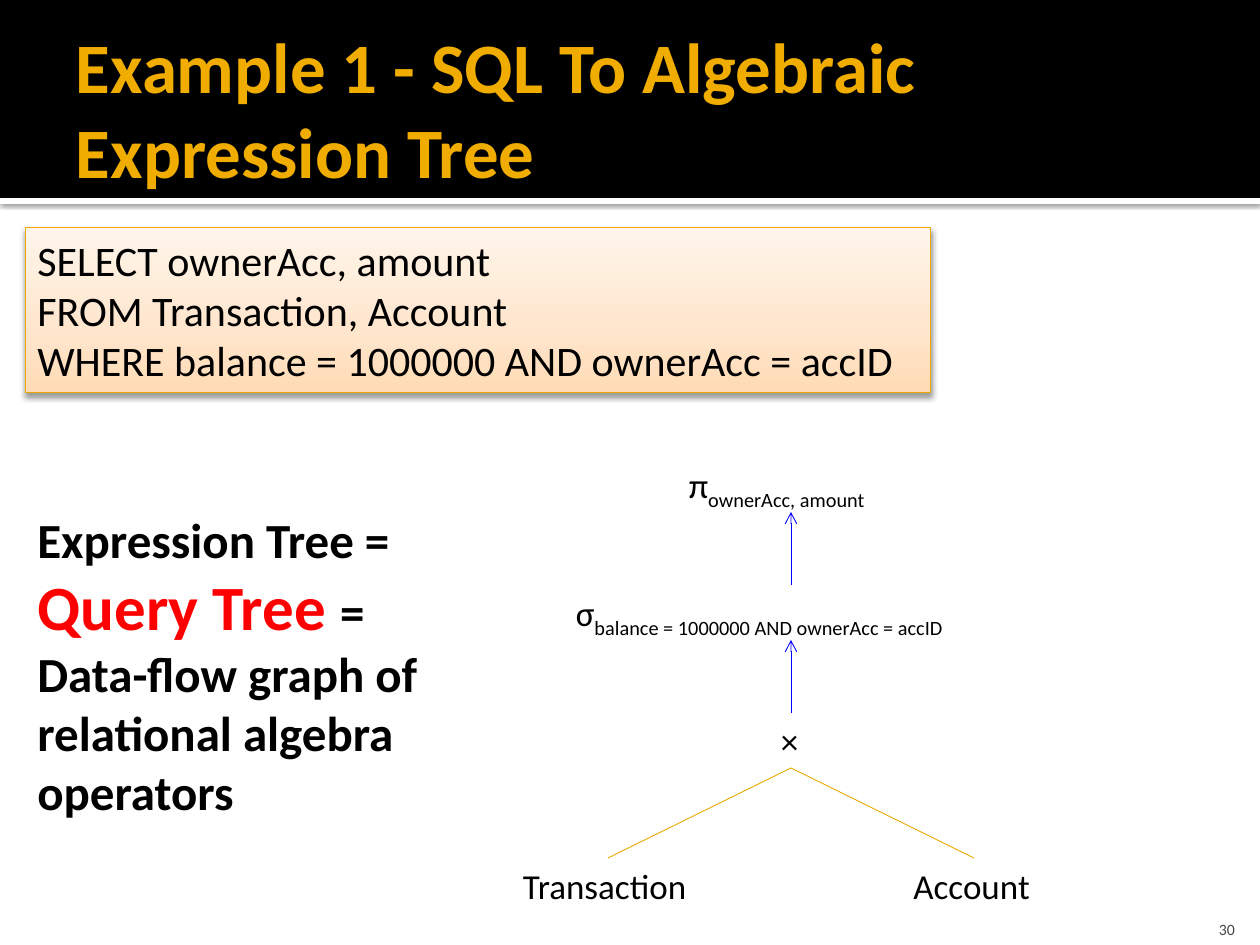
from dataclasses import dataclass

from lxml.etree import SubElement
from pptx import Presentation
from pptx.dml.color import RGBColor
from pptx.enum.shapes import MSO_CONNECTOR, MSO_SHAPE
from pptx.enum.text import MSO_ANCHOR, MSO_AUTO_SIZE, PP_ALIGN
from pptx.oxml.ns import qn
from pptx.util import Emu, Pt


@dataclass(frozen=True)
class Theme:
    font: str = "Calibri"
    black: str = "000000"
    white: str = "FFFFFF"
    title: str = "F0AD00"
    edge: str = "EBA900"
    arrow: str = "0000FF"
    accent: str = "FF0000"
    muted: str = "454545"
    query_fill: tuple = ((0, "FFDBB5"), (35, "FFE5CB"), (100, "FFF5EB"))
    title_size: float = 40.5
    query_size: int = 24
    node_size: int = 20
    note_size: int = 28
    accent_size: int = 36
    number_size: int = 9
    line_width: float = 0.5


T = Theme()
SCALE = 914400 / 126
NODE_H = 55
AXIS = 791
LEVELS = (457, 585, 713)
LEAF_TOP = 858


def px(n):
    return Emu(round(n * SCALE))


def rgb(color):
    return RGBColor.from_string(color)


def add_run(p, text, size, color=T.black, bold=False, baseline=0):
    r = p.add_run()
    r.text = text
    r.font.name = T.font
    r.font.size = Pt(size)
    r.font.bold = bold
    r.font.color.rgb = rgb(color)
    if baseline:
        r.font._element.set("baseline", str(baseline * 1000))


def write(sp, paragraphs, anchor=MSO_ANCHOR.TOP, align=PP_ALIGN.LEFT,
          wrap=True, grow=False, insets=None):
    tf = sp.text_frame
    tf.word_wrap = wrap
    tf.vertical_anchor = anchor
    tf.auto_size = MSO_AUTO_SIZE.SHAPE_TO_FIT_TEXT if grow else MSO_AUTO_SIZE.NONE
    if insets:
        tf.margin_left, tf.margin_top, tf.margin_right, tf.margin_bottom = map(px, insets)
    for i, runs in enumerate(paragraphs):
        p = tf.add_paragraph() if i else tf.paragraphs[0]
        p.alignment = align
        for text, fmt in runs:
            add_run(p, text, **fmt)


def add_text(s, box, paragraphs, **fmt):
    write(s.shapes.add_textbox(*map(px, box)), paragraphs, **fmt)


def add_rect(s, box, fill=None):
    sp = s.shapes.add_shape(MSO_SHAPE.RECTANGLE, *map(px, box))
    sp.shadow.inherit = False
    sp.line.fill.background()
    if fill:
        sp.fill.solid()
        sp.fill.fore_color.rgb = rgb(fill)
    return sp


def add_color(parent, color, alpha=None):
    clr = SubElement(parent, qn("a:srgbClr"), val=color)
    if alpha:
        SubElement(clr, qn("a:alpha"), val=str(alpha * 1000))


def add_shadow(sp, alpha, blur, dist):
    effects = sp._element.spPr.find(qn("a:effectLst"))
    shadow = SubElement(effects, qn("a:outerShdw"), blurRad=str(Pt(blur)),
                        dist=str(Pt(dist)), dir="5400000", rotWithShape="0")
    add_color(shadow, T.black, alpha)


def fill_gradient(sp, stops, angle):
    sp.fill.gradient()
    sp.fill.gradient_angle = angle
    gs_lst = sp._element.spPr.find(".//" + qn("a:gsLst"))
    for gs in list(gs_lst):
        gs_lst.remove(gs)
    for pos, color in stops:
        add_color(SubElement(gs_lst, qn("a:gs"), pos=str(pos * 1000)), color)


def add_line(s, start, end, color, arrow=False):
    cx = s.shapes.add_connector(MSO_CONNECTOR.STRAIGHT, *map(px, start + end))
    cx.line.color.rgb = rgb(color)
    cx.line.width = Pt(T.line_width)
    if arrow:
        SubElement(cx.line._ln, qn("a:headEnd"), type="arrow")
    SubElement(cx._element.spPr, qn("a:effectLst"))


def add_node(s, center, top, width, text, sub="", wrap=False):
    runs = [(text, dict(size=T.node_size))]
    if sub:
        runs.append((sub, dict(size=T.node_size, baseline=-25)))
    sp = add_rect(s, (center - width / 2, top, width, NODE_H), T.white)
    write(sp, [runs], wrap=wrap, grow=True)


def add_header(s):
    strip = add_rect(s, (0, 198, 1260, 6), T.white)
    add_shadow(strip, alpha=60, blur=2.5, dist=0.8)
    add_rect(s, (0, 0, 1260, 198), T.black)
    title = ("Example 1 - SQL To Algebraic Expression Tree",
             dict(size=T.title_size, color=T.title, bold=True))
    add_text(s, (63, 21, 1134, 173), [[title]], anchor=MSO_ANCHOR.MIDDLE,
             insets=(13, 6, 6, 6))


def add_tree(s):
    project, select, product = LEVELS
    add_node(s, AXIS, project, 229, "π", "ownerAcc, amount")
    add_node(s, AXIS, select, 455, "σ", "balance = 1000000 AND ownerAcc = accID")
    add_node(s, AXIS, product, 45, "×", wrap=True)
    for upper, lower in zip(LEVELS, LEVELS[1:]):
        add_line(s, (AXIS, upper + NODE_H), (AXIS, lower), T.arrow, arrow=True)
    for center, width, table in ((608, 195, "Transaction"), (974, 146, "Account")):
        add_node(s, center, LEAF_TOP, width, table)
        add_line(s, (AXIS, product + NODE_H), (center, LEAF_TOP), T.edge)


def add_query(s):
    lines = ("SELECT ownerAcc, amount",
             "FROM Transaction, Account",
             "WHERE balance = 1000000 AND ownerAcc = accID")
    sp = add_rect(s, (25, 228, 906, 165))
    fill_gradient(sp, T.query_fill, 90)
    sp.line.color.rgb = rgb(T.edge)
    sp.line.width = Pt(T.line_width)
    add_shadow(sp, alpha=38, blur=3.5, dist=2)
    write(sp, [[(line, dict(size=T.query_size))] for line in lines], grow=True)


def add_definition(s):
    plain = dict(size=T.note_size, bold=True)
    accent = dict(size=T.accent_size, color=T.accent, bold=True)
    runs = [("Expression Tree = ", plain), ("Query Tree ", accent),
            ("= Data-flow graph of relational algebra operators", plain)]
    add_text(s, (25, 503, 426, 326), [runs], grow=True)


def add_number(s):
    number = ("30", dict(size=T.number_size, color=T.muted))
    add_text(s, (1147, 901, 101, 38), [[number]], anchor=MSO_ANCHOR.BOTTOM,
             align=PP_ALIGN.RIGHT, insets=(13, 6, 13, 0))


def main():
    prs = Presentation()
    prs.slide_width, prs.slide_height = px(1260), px(945)
    s = prs.slides.add_slide(prs.slide_layouts[6])
    add_header(s)
    add_tree(s)
    add_query(s)
    add_definition(s)
    add_number(s)
    prs.save("out.pptx")


if __name__ == "__main__":
    main()
